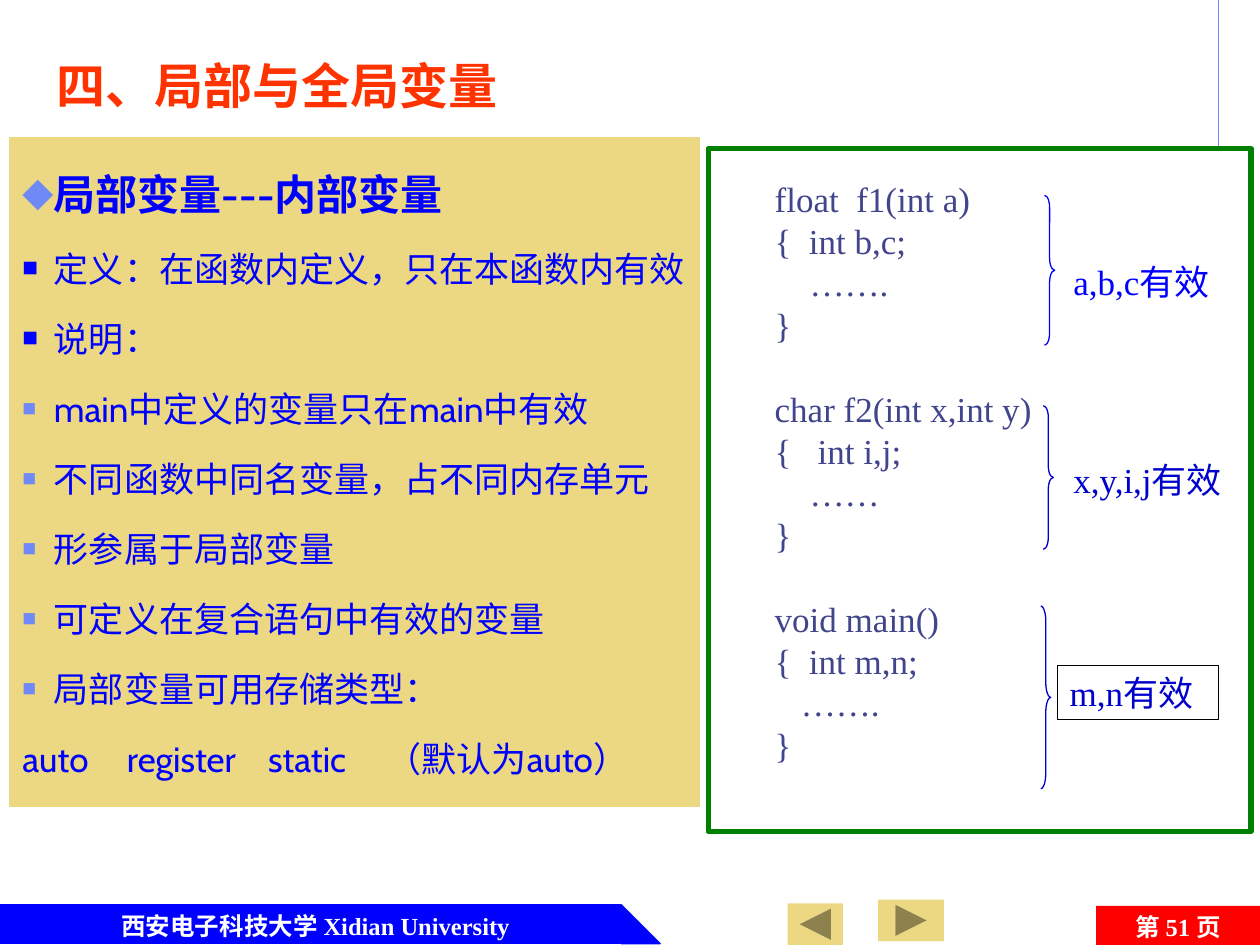
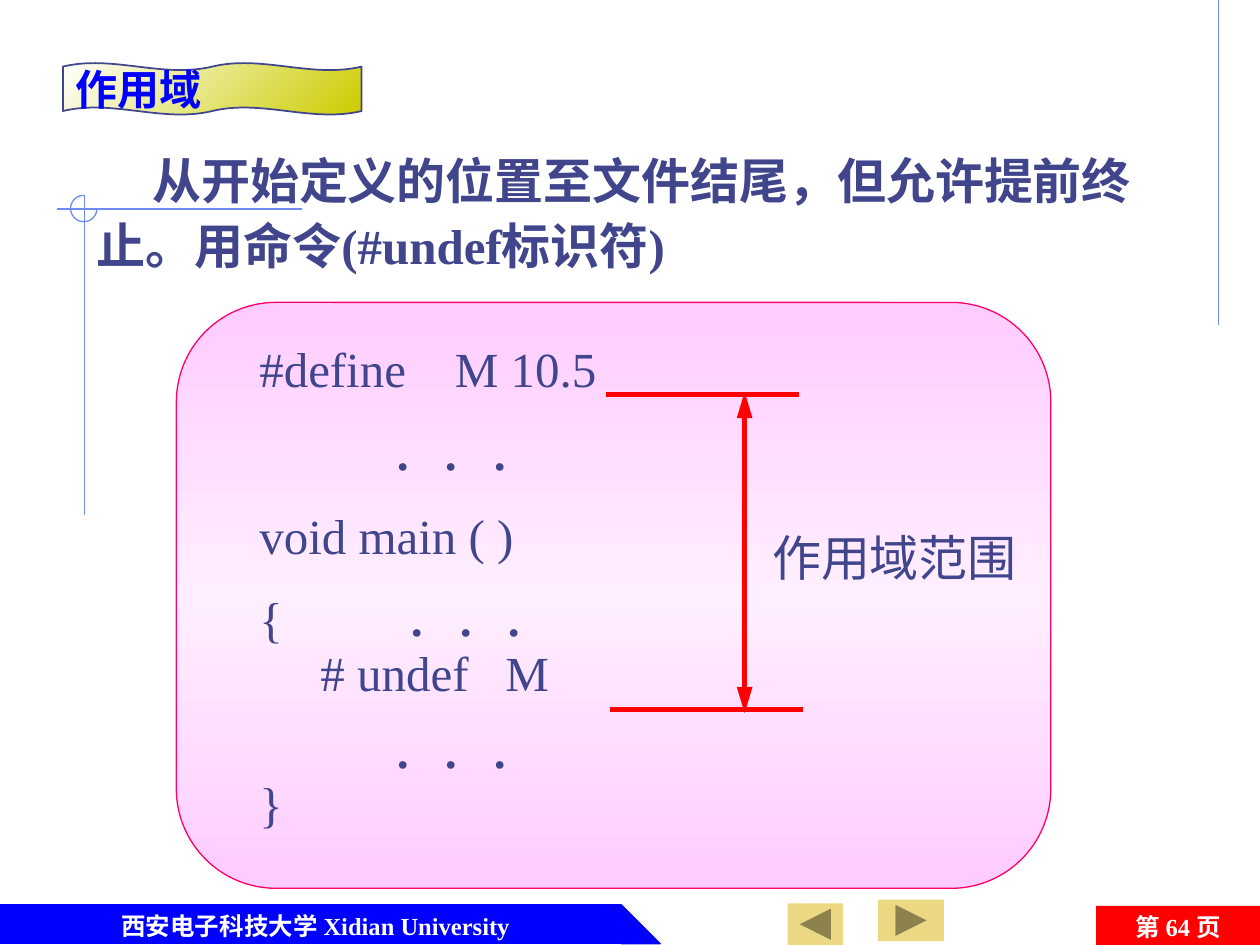
from pptx import Presentation
from pptx.dml.color import RGBColor
from pptx.enum.shapes import MSO_CONNECTOR, MSO_SHAPE
from pptx.enum.text import MSO_ANCHOR, MSO_AUTO_SIZE, PP_ALIGN
from pptx.oxml import parse_xml
from pptx.oxml.ns import nsdecls, qn
from pptx.util import Inches, Pt

# Grid: 100 columns by 75 rows, so a cell is a square
COLS, ROWS = 100, 75
WIDTH, HEIGHT = Inches(10), Inches(7.5)
COLORS = {
    "white": "FFFFFF", "black": "000000", "blue": "0000FF", "navy": "0000CC",
    "ink": "40458C", "guide": "6F89F7", "sand": "ECD882", "red": "FF0000",
    "title": "FF3300", "green": "008000", "pink": "FFCCFF", "pale": "FFEEFF",
    "rose": "FF0066", "olive": "CCCC00",
}
TIMES, CABIN, CJK = "Times New Roman", "Cabin", "Noto Sans CJK SC"


def rgb(name):
    return RGBColor.from_string(COLORS[name])


def x(cols):
    return int(WIDTH * cols / COLS)


def y(rows):
    return int(HEIGHT * rows / ROWS)


def place(box):
    left, top, width, height = box
    return x(left), y(top), x(width), y(height)


def xml(tag, attrs="", inner=""):
    return parse_xml(f"<a:{tag} {nsdecls('a')} {attrs}>{inner}</a:{tag}>")


def color_xml(name):
    return f'<a:srgbClr val="{COLORS[name]}"/>'


# Text
def add_text(tf, text, size=20, font=TIMES, color="ink", bold=False,
             align=PP_ALIGN.LEFT, before=0, spacing=None, indent=None,
             bullet=None, tabs=()):
    """Write one paragraph; bullet is (character, percent, colour)."""
    p = tf.paragraphs[0] if not tf.paragraphs[0].runs else tf.add_paragraph()
    pPr = p._p.get_or_add_pPr()
    if indent:
        left, first = indent
        pPr.set("marL", str(x(left)))
        pPr.set("indent", str(x(first)))
    if bullet:
        char, percent, bullet_color = bullet
        pPr.append(xml("buClr", inner=color_xml(bullet_color)))
        pPr.append(xml("buSzPct", f'val="{percent * 1000}"'))
        pPr.append(xml("buFont", f'typeface="{CJK}"'))
        pPr.append(xml("buChar", f'char="{char}"'))
    else:
        pPr.append(xml("buNone"))
    if tabs:
        stops = "".join(f'<a:tab pos="{x(t)}" algn="l"/>' for t in tabs)
        pPr.append(xml("tabLst", inner=stops))
    p.alignment = align
    p.space_before = Pt(before)
    if spacing:
        p.line_spacing = spacing
    r = p.add_run()
    r.text = text
    r.font.size, r.font.bold, r.font.name = Pt(size), bold, font
    r.font.color.rgb = rgb(color)
    r.font._element.find(qn("a:latin")).addnext(xml("ea", f'typeface="{CJK}"'))


def set_frame(sp, anchor=MSO_ANCHOR.TOP, wrap=True):
    tf = sp.text_frame
    tf.word_wrap, tf.vertical_anchor = wrap, anchor
    tf.auto_size = MSO_AUTO_SIZE.NONE
    return tf


def add_box(s, box):
    return set_frame(s.shapes.add_textbox(*place(box)))


def set_title(s, text, box, anchor=MSO_ANCHOR.TOP, **fmt):
    sp = s.shapes.title
    sp.left, sp.top, sp.width, sp.height = place(box)
    add_text(set_frame(sp, anchor), text, bold=True, **fmt)
    return sp


# Shapes
def add_shape(s, kind, box, fill=None, line=None, weight=0.75, adj=()):
    sp = s.shapes.add_shape(kind, *place(box))
    sp.shadow.inherit = False
    for i, value in enumerate(adj):
        sp.adjustments[i] = value
    if fill:
        sp.fill.solid()
        sp.fill.fore_color.rgb = rgb(fill)
    else:
        sp.fill.background()
    if line:
        sp.line.color.rgb = rgb(line)
        sp.line.width = Pt(weight)
    else:
        sp.line.fill.background()
    return sp


def set_gradient(sp, names, angle):
    last = len(names) - 1
    stops = "".join(f'<a:gs pos="{100000 * i // last}">{color_xml(n)}</a:gs>'
                    for i, n in enumerate(names))
    fill = xml("gradFill", 'rotWithShape="1"',
               f'<a:gsLst>{stops}</a:gsLst>'
               f'<a:lin ang="{angle * 60000}" scaled="0"/>')
    spPr = sp.element.spPr
    spPr.replace(spPr.find(qn("a:noFill")), fill)


def add_line(s, x1, y1, x2, y2, color="guide", weight=0.75, arrows=False):
    c = s.shapes.add_connector(MSO_CONNECTOR.STRAIGHT, x(x1), y(y1), x(x2), y(y2))
    c.line.color.rgb = rgb(color)
    c.line.width = Pt(weight)
    if arrows:
        ln = c.line._get_or_add_ln()
        for end in ("headEnd", "tailEnd"):
            ln.append(xml(end, 'type="triangle" w="med" len="lg"'))
    c.element.spPr.append(xml("effectLst"))


# Parts both slides share
def add_slide(prs, page):
    s = prs.slides.add_slide(prs.slide_layouts[5])
    add_line(s, 96.7, 0, 96.7, 25.8)
    for kind, left, width in ((MSO_SHAPE.RECTANGLE, 0, 49.2),
                              (MSO_SHAPE.RIGHT_TRIANGLE, 49.3, 3.1)):
        add_shape(s, kind, (left, 71.8, width, 3.1), "blue", "blue")
    footer = dict(size=14, color="white", bold=True, align=PP_ALIGN.CENTER)
    add_text(add_box(s, (2.9, 71.8, 44.3, 3.1)),
             "西安电子科技大学 Xidian University", **footer)
    badge = add_shape(s, MSO_SHAPE.RECTANGLE, (87, 71.9, 13, 3.3), "red")
    add_text(set_frame(badge), f"第 {page} 页", **footer)
    button = MSO_SHAPE.ACTION_BUTTON_FORWARD_OR_NEXT
    add_shape(s, button, (69.7, 71.4, 5.2, 3.3), "sand")
    add_shape(s, button, (62.5, 71.7, 4.4, 3.3), "sand").rotation = 180
    return s


# Slide: local variables
def add_local_notes(s):
    panel = add_shape(s, MSO_SHAPE.RECTANGLE, (0.8, 10.9, 54.7, 53.1), "sand", "sand")
    tf = set_frame(panel)
    body = dict(font=CABIN, color="blue", spacing=1.5)
    item = dict(body, indent=(2.5, -2.5), before=4)
    add_text(tf, "局部变量---内部变量", size=24, bold=True,
             **dict(item, before=0), bullet=("◆", 75, "guide"))
    for text in ("定义：在函数内定义，只在本函数内有效", "说明："):
        add_text(tf, text, bullet=("■", 45, "blue"), **item)
    for text in ("main中定义的变量只在main中有效",
                 "不同函数中同名变量，占不同内存单元",
                 "形参属于局部变量",
                 "可定义在复合语句中有效的变量",
                 "局部变量可用存储类型："):
        add_text(tf, text, bullet=("■", 40, "guide"), **item)
    add_text(tf, "auto\tregister\tstatic\t（默认为auto）", before=4,
             tabs=(8.3, 19.5, 28.9), **body)


def add_function_scopes(s):
    add_shape(s, MSO_SHAPE.RECTANGLE, (56.2, 11.8, 43.1, 54.2), "white", "green", 3)
    functions = (
        ("float  f1(int a)", "{  int b,c;", "    …….", "}"),
        ("char f2(int x,int y)", "{   int i,j;", "    ……", "}"),
        ("void main()", "{  int m,n;", "   …….", "}"),
    )
    tf = add_box(s, (60.5, 13.6, 24, 51))
    for i, code in enumerate(functions):
        for j, text in enumerate(code):
            add_text(tf, text, spacing=Pt(24), before=24 if i and not j else 0)
    # Brace and label of each function
    scopes = (
        ((82.9, 15.5, 0.8, 11.9), 1.22, "a,b,c有效", (84.2, 20.2, 15, 4.3), "blue", None),
        ((82.8, 32.2, 0.8, 11.4), 1.16, "x,y,i,j有效", (84.2, 35.9, 15, 3.4), "navy", None),
        ((82.6, 48.1, 0.8, 14.5), 1.48, "m,n有效", (83.9, 52.8, 12.8, 4.3), "navy", "black"),
    )
    for brace, curve, text, box, color, border in scopes:
        add_shape(s, MSO_SHAPE.RIGHT_BRACE, brace, line=color, adj=(curve, 0.5))
        label = add_shape(s, MSO_SHAPE.RECTANGLE, box, line=border)
        add_text(set_frame(label), text, color=color)


# Slide: scope of a macro
def add_crosshair(s):
    add_line(s, 24, 16.6, 4.5, 16.6)
    add_line(s, 6.7, 15.5, 6.7, 40.9)
    add_shape(s, MSO_SHAPE.ARC, (5.6, 15.5, 2.1, 2.1), line="guide", adj=(0, 162))


def add_macro_code(s):
    panel = add_shape(s, MSO_SHAPE.ROUNDED_RECTANGLE, (14, 24, 69.4, 46.5),
                      line="rose", adj=(0.17,))
    set_gradient(panel, ("pink", "pale", "pink"), 90)
    tf = add_box(s, (19.6, 26.4, 28.8, 43))
    dots = "            ．．．"
    code = (("#define    M 10.5", None), (dots, None), ("void main ( )", None),
            ("{          ．．．", None), ("     # undef   M", 0.4),
            (dots, None), ("}", 0.4))
    for i, (text, spacing) in enumerate(code):
        add_text(tf, text, size=28, spacing=spacing, before=14 if i else 0)


def add_scope_range(s):
    add_line(s, 59.1, 31.1, 59.1, 56.6, "red", 3, arrows=True)
    for left, top in ((48.1, 31.3), (48.4, 56.3)):
        add_line(s, left, top, left + 15.3, top, "red", 3)
    add_text(add_box(s, (60.3, 41.4, 25.3, 5.7)), "作用域范围", size=28)


def main():
    prs = Presentation()
    prs.slide_width, prs.slide_height = WIDTH, HEIGHT

    s = add_slide(prs, 51)
    set_title(s, "四、局部与全局变量", (3.5, 3.9, 42.7, 5.7), size=28, color="title")
    add_local_notes(s)
    add_function_scopes(s)

    s = add_slide(prs, 64)
    add_crosshair(s)
    add_macro_code(s)
    add_text(add_box(s, (6.7, 11, 87.7, 11.3)),
             "从开始定义的位置至文件结尾，但允许提前终止。用命令(#undef标识符)",
             size=28, bold=True, spacing=1.1, indent=(0, 4.4))
    add_scope_range(s)
    # Title on a wavy ribbon, lifted in front of it
    ribbon = (5, 5, 23.7, 4.1)
    wave = add_shape(s, MSO_SHAPE.DOUBLE_WAVE, ribbon, line="ink", weight=1,
                     adj=(0.07, 0))
    set_gradient(wave, ("white", "olive"), 45)
    title = set_title(s, "作用域", ribbon, MSO_ANCHOR.MIDDLE,
                      size=24, font=CJK, color="blue")
    wave.element.addnext(title.element)

    prs.save("out.pptx")


if __name__ == "__main__":
    main()
